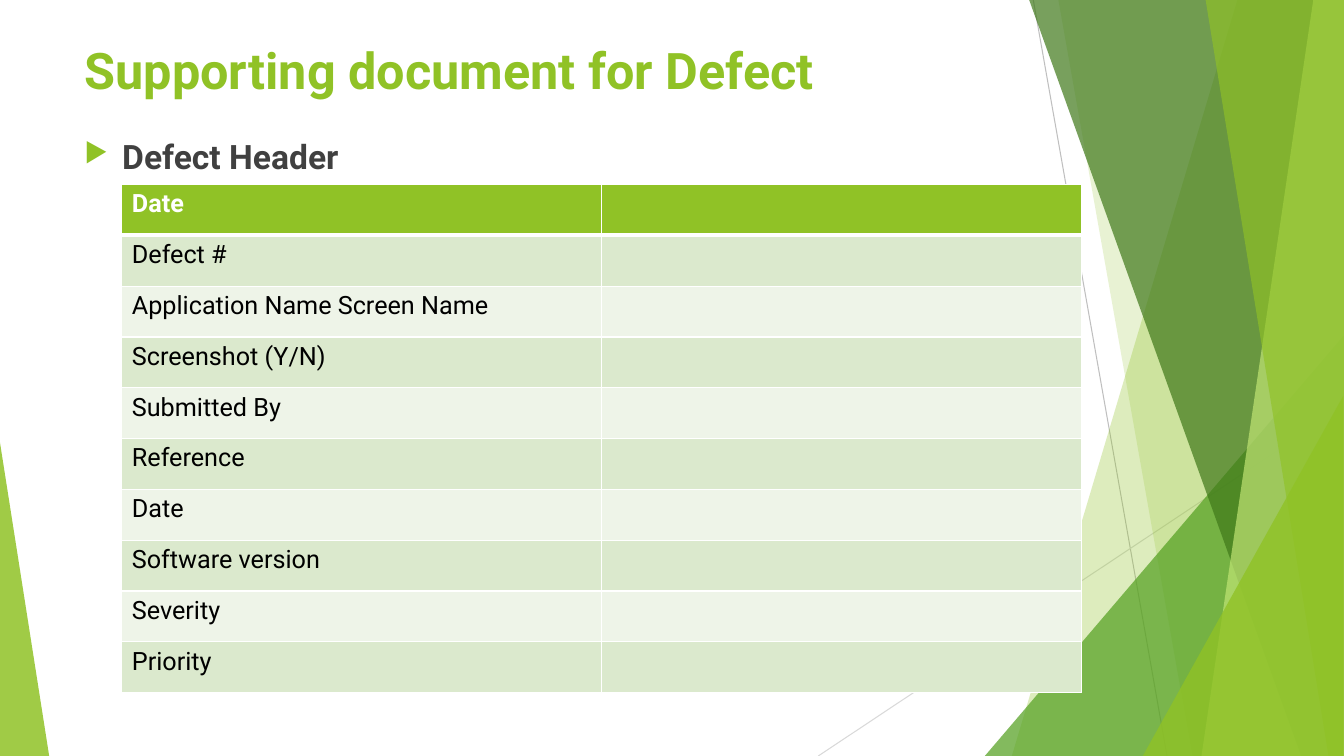
"""Build the defect document slide."""
from dataclasses import dataclass

from lxml import etree
from pptx import Presentation
from pptx import util as u
from pptx.dml.color import RGBColor
from pptx.enum import shapes, text
from pptx.oxml import ns

Cm = u.Cm


@dataclass(frozen=True)
class Theme:
    font: str = "Roboto"
    green: str = "90C226"
    leaf: str = "54A021"
    forest: str = "3F7819"
    lime: str = "C0E474"
    body: str = "404040"
    black: str = "000000"
    white: str = "FFFFFF"
    steel: str = "BFBFBF"
    silver: str = "D9D9D9"
    bands: tuple = ("EEF4E8", "DBE9CD")
    title_pt: int = 36
    heading_pt: int = 24
    table_pt: int = 18


def add(parent, tag, **attrs):
    return etree.SubElement(parent, ns.qn(tag), attrs)


class Deck:
    def __init__(self, s, theme):
        self.s, self.theme = s, theme

    def put_text(self, tf, words, size, color, bold=True):
        p = tf.paragraphs[0]
        p.alignment = text.PP_ALIGN.LEFT
        r = p.add_run()
        r.text = words
        style = {"name": self.theme.font, "size": u.Pt(size), "bold": bold}
        for key, value in style.items():
            setattr(r.font, key, value)
        r.font.color.rgb = RGBColor.from_string(color)
        return p

    def frame(self, tf, anchor):
        style = {"word_wrap": True, "auto_size": text.MSO_AUTO_SIZE.NONE,
                 "vertical_anchor": anchor}
        for key, value in style.items():
            setattr(tf, key, value)

    def title(self, words, left, top, width, height):
        sp = self.s.shapes.title
        box = {"left": left, "top": top, "width": width, "height": height}
        for key, value in box.items():
            setattr(sp, key, Cm(value))
        self.frame(sp.text_frame, text.MSO_ANCHOR.MIDDLE)
        self.put_text(sp.text_frame, words, self.theme.title_pt, self.theme.green)

    def bullet(self, words, *box):
        sp = self.s.shapes.add_textbox(*map(Cm, box))
        self.frame(sp.text_frame, text.MSO_ANCHOR.TOP)
        p = self.put_text(sp.text_frame, words, self.theme.heading_pt, self.theme.body)
        pPr = p._p.get_or_add_pPr()
        pPr.set("marL", str(Cm(0.95)))
        pPr.set("indent", str(-Cm(0.95)))
        add(add(pPr, "a:buClr"), "a:srgbClr", val=self.theme.green)
        add(pPr, "a:buSzPct", val="80000")
        add(pPr, "a:buChar", char="▶")

    def line(self, color, *ends):
        sp = self.s.shapes.add_connector(shapes.MSO_CONNECTOR.STRAIGHT, *map(Cm, ends))
        sp.line.color.rgb = RGBColor.from_string(color)
        sp.line.width = u.Pt(0.75)
        add(sp._element.spPr, "a:effectLst")

    def paint(self, sp, color, opacity):
        sp.shadow.inherit = False
        sp.line.fill.background()
        sp.fill.solid()
        sp.fill.fore_color.rgb = RGBColor.from_string(color)
        clr = sp._element.spPr.find(".//" + ns.qn("a:srgbClr"))
        add(clr, "a:alpha", val=str(opacity * 1000))

    def ribbon(self, color, opacity, top_x, bottom_x):
        top, right, bottom = Cm(-0.02), Cm(33.87), Cm(19.05)
        outline = self.s.shapes.build_freeform(Cm(top_x), top)
        outline.add_line_segments([(right, top), (right, bottom), (Cm(bottom_x), bottom)])
        self.paint(outline.convert_to_shape(), color, opacity)

    def triangle(self, color, opacity, apex, *box):
        sp = self.s.shapes.add_shape(shapes.MSO_SHAPE.ISOSCELES_TRIANGLE, *map(Cm, box))
        sp.adjustments[0] = apex
        self.paint(sp, color, opacity)

    def border(self, cell, side, width):
        ln = add(cell._tc.get_or_add_tcPr(), f"a:{side}", w=str(u.Pt(width)))
        add(add(ln, "a:solidFill"), "a:srgbClr", val=self.theme.white)

    def table(self, labels, left, top, width, row_height):
        t = self.theme
        rows = len(labels)
        grid = self.s.shapes.add_table(
            rows, 2, Cm(left), Cm(top), Cm(width), Cm(row_height * rows)).table
        for i, label in enumerate(labels):
            header = i == 0
            for cell in grid.rows[i].cells:
                for side in ("lnL", "lnR", "lnT", "lnB"):
                    thick = (i, side) in ((0, "lnB"), (1, "lnT"))
                    self.border(cell, side, 3 if thick else 1)
                cell.fill.solid()
                cell.fill.fore_color.rgb = RGBColor.from_string(
                    t.green if header else t.bands[i % 2])
            self.put_text(grid.cell(i, 0).text_frame, label, t.table_pt,
                          t.white if header else t.black, header)


theme = Theme()
prs = Presentation()
prs.slide_width, prs.slide_height = Cm(33.87), Cm(19.05)
deck = Deck(prs.slides.add_slide(prs.slide_layouts[5]), theme)

deck.line(theme.steel, 26.04, 0, 29.41, 19.05)
deck.line(theme.silver, 33.87, 10.24, 20.62, 19.05)
deck.ribbon(theme.green, 30, 31.19, 25.5)
deck.ribbon(theme.green, 20, 26.67, 30.05)
deck.triangle(theme.leaf, 72, 1, 24.82, 8.46, 9.04, 10.59)
for ribbon in ((theme.forest, 70, 25.93, 32.79),
               (theme.lime, 70, 33.1, 30.28),
               (theme.green, 65, 30.38, 33.48)):
    deck.ribbon(*ribbon)
deck.triangle(theme.green, 80, 1, 28.8, 9.98, 5.05, 9.07)
deck.triangle(theme.green, 85, 0, 0, 11.15, 1.24, 7.9)

deck.title("Supporting document for Defect", 1.88, 0.79, 28.19, 1.93)
deck.bullet("Defect Header", 1.88, 3.3, 29.36, 14.96)
deck.table(["Date", "Defect #", "Application Name Screen Name", "Screenshot (Y/N)",
            "Submitted By", "Reference", "Date", "Software version", "Severity",
            "Priority"], 3.07, 4.65, 24.18, 1.28)

prs.save("out.pptx")
